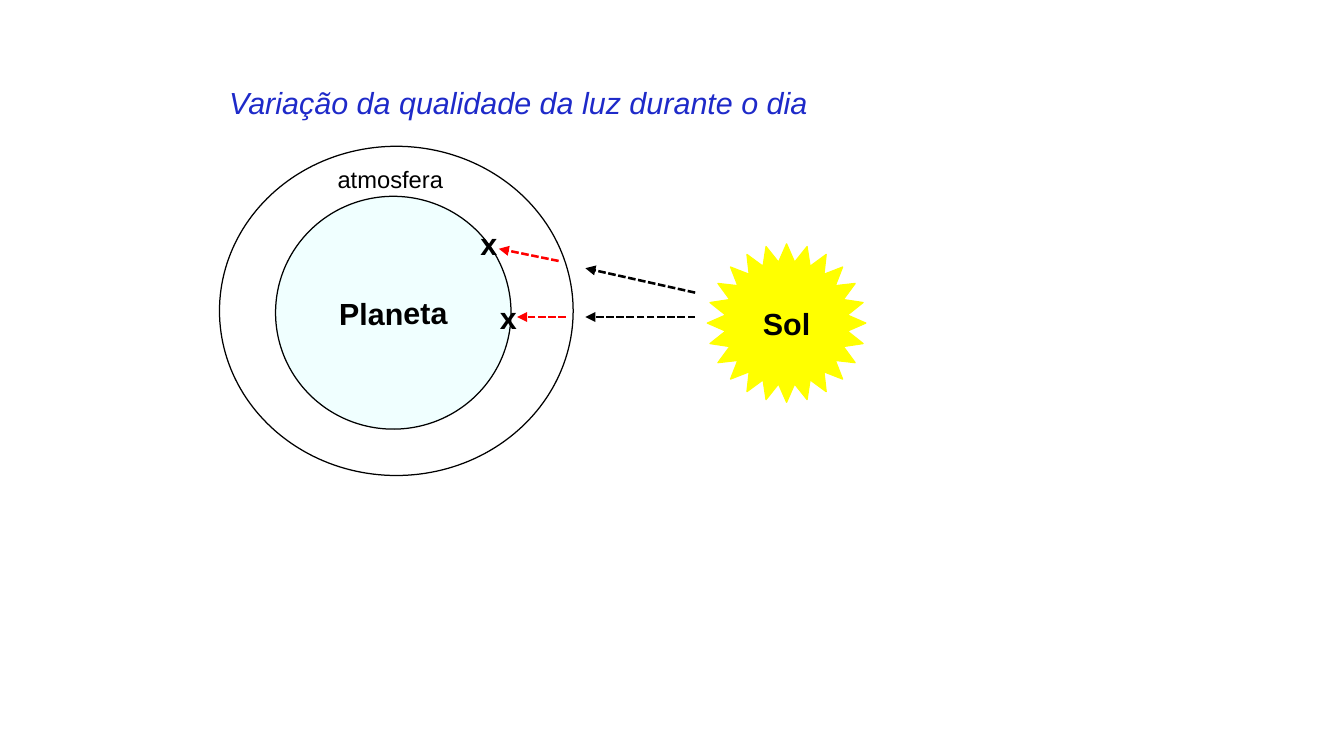
import math
from lxml import etree
from pptx import Presentation
from pptx import util as u
from pptx.dml.color import RGBColor
from pptx.enum import dml, shapes, text
from pptx.oxml import ns

BLACK, WHITE, RED, BLUE = "000000", "FFFFFF", "FF0000", "1E2AC9"
PALE, YELLOW = "F0FFFF", "FFFF00"


def color(hex_code):
    """Turn a hex string into a colour."""
    return RGBColor.from_string(hex_code)


def paint(shape, fill, line):
    """Give a shape a flat fill and a hairline outline."""
    shape.shadow.inherit = False
    shape.fill.solid()
    shape.fill.fore_color.rgb = color(fill)
    shape.line.color.rgb = color(line)
    shape.line.width = u.Pt(0)


def write(shape, words, size=18, ink=BLACK, bold=False, italic=False,
          centred=False, wrap=False):
    """Write one run of Arial text into a shape."""
    frame = shape.text_frame
    frame.word_wrap = wrap
    frame.vertical_anchor = text.MSO_ANCHOR.MIDDLE if centred else text.MSO_ANCHOR.TOP
    paragraph = frame.paragraphs[0]
    paragraph.alignment = text.PP_ALIGN.CENTER if centred else text.PP_ALIGN.LEFT
    run = paragraph.add_run()
    run.text = words
    run.font.name = "Arial"
    run.font.size = u.Pt(size)
    run.font.bold = bold
    run.font.italic = italic
    run.font.color.rgb = color(ink)


def label(slide, box, words, **style):
    """Place a text box that grows with its words."""
    caption = slide.shapes.add_textbox(*map(u.Pt, box))
    write(caption, words, **style)
    caption.text_frame.auto_size = text.MSO_AUTO_SIZE.SHAPE_TO_FIT_TEXT


def disc(slide, box, fill):
    """Place an outlined ellipse."""
    ellipse = slide.shapes.add_shape(shapes.MSO_SHAPE.OVAL, *map(u.Pt, box))
    paint(ellipse, fill, BLACK)
    return ellipse


def draw_planet(slide, box):
    """Draw the planet inside its atmosphere."""
    left, top, width, height = box
    disc(slide, box, WHITE)
    planet = disc(slide, (left + 33.1, top + 29.5, 139, 137.5), PALE)
    planet.rotation = -0.4
    write(planet, "Planeta", bold=True, centred=True)
    label(slide, (left + 62.6, top + 7.2, 77, 23), "atmosfera", size=14)


def draw_sun(slide, box, points=24, depth=0.775):
    """Draw the sun as a star with evenly spaced points."""
    left, top, width, height = box
    corners = []
    for step in range(2 * points):
        reach = depth if step % 2 else 1
        angle = math.pi * (1 - step / points)
        corners.append((u.Pt(left + width / 2 * (1 + reach * math.cos(angle))),
                        u.Pt(top + height / 2 * (1 + reach * math.sin(angle)))))
    outline = slide.shapes.build_freeform(*corners[0])
    outline.add_line_segments(corners[1:], close=True)
    sun = outline.convert_to_shape()
    paint(sun, YELLOW, YELLOW)
    write(sun, "Sol", bold=True, centred=True)


def draw_ray(slide, start, end, ink):
    """Draw a dashed light ray with an arrowhead at its end."""
    ray = slide.shapes.add_connector(shapes.MSO_CONNECTOR.STRAIGHT,
                                     *map(u.Pt, start + end))
    ray.line.color.rgb = color(ink)
    ray.line.width = u.Pt(1.5)
    ray.line.dash_style = dml.MSO_LINE.DASH
    line = ray.line._get_or_add_ln()
    line.find(ns.qn("a:prstDash")).set("val", "sysDash")
    etree.SubElement(line, ns.qn("a:tailEnd"), type="triangle")
    etree.SubElement(ray._element.spPr, ns.qn("a:effectLst"))


def draw_light(slide, box):
    """Draw the rays from the sun and the places on the planet they reach."""
    left, top, width, height = box
    right = left + width
    noon = top + 57.6
    rays = [
        ((right, noon), (right - 64.8, noon), BLACK),
        ((right, noon - 14.4), (right - 64.8, noon - 28.8), BLACK),
        ((left + 57.6, noon), (left + 28.8, noon), RED),
        ((left + 53.3, noon - 33.1), (left + 18, noon - 40.3), RED),
    ]
    for start, end, ink in rays:
        draw_ray(slide, start, end, ink)
    label(slide, (left, top, 22.3, 27.4), "x", bold=True, wrap=True)
    label(slide, (left + 11.5, top + 43.2, 24.5, 27.4), "x", bold=True)


def draw_title(slide, box):
    """Place the heading."""
    label(slide, box, "Variação da qualidade da luz durante o dia",
          ink=BLUE, italic=True, wrap=True)


def main():
    """Build and save the slide."""
    deck = Presentation()
    deck.slide_width, deck.slide_height = u.Pt(793.44), u.Pt(446.4)
    slide = deck.slides.add_slide(deck.slide_layouts[6])
    draw_planet(slide, (129.6, 86.4, 208.8, 194.4))
    draw_sun(slide, (417.6, 144, 93.6, 93.6))
    draw_light(slide, (276.5, 129.6, 133.9, 70.6))
    draw_title(slide, (128.2, 46.1, 388.8, 47.5))
    deck.save("out.pptx")


if __name__ == "__main__":
    main()
